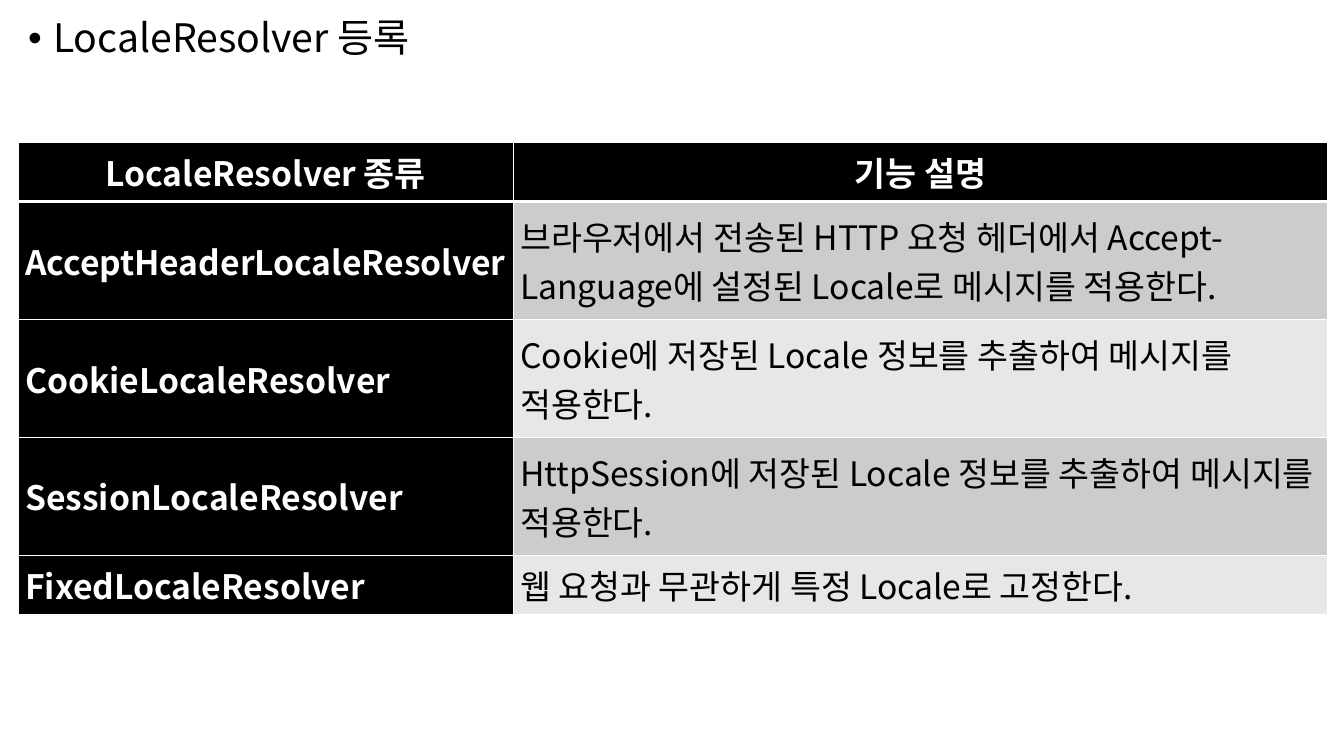
from lxml.etree import SubElement
from pptx import Presentation
from pptx.dml.color import RGBColor
from pptx.enum.text import MSO_ANCHOR, PP_ALIGN
from pptx.oxml.ns import qn
from pptx.util import Inches, Pt

BLACK = RGBColor(0x00, 0x00, 0x00)
WHITE = RGBColor(0xFF, 0xFF, 0xFF)
DARK_BAND = RGBColor(0xCC, 0xCC, 0xCC)
LIGHT_BAND = RGBColor(0xE7, 0xE7, 0xE7)

COLUMN_WIDTHS = (4.91, 8.08)
HEADINGS = ("LocaleResolver 종류", "기능 설명")
RESOLVERS = (
    ("AcceptHeaderLocaleResolver",
     "브라우저에서 전송된 HTTP 요청 헤더에서 Accept-Language에 설정된 Locale로 메시지를 적용한다.", 1.17),
    ("CookieLocaleResolver", "Cookie에 저장된 Locale 정보를 추출하여 메시지를 적용한다.", 1.17),
    ("SessionLocaleResolver", "HttpSession에 저장된 Locale 정보를 추출하여 메시지를 적용한다.", 1.17),
    ("FixedLocaleResolver", "웹 요청과 무관하게 특정 Locale로 고정한다.", 0.59),
)


class SlideBuilder:
    """Draws bulleted text and tables on one slide in a shared style."""

    font_name = "Noto Sans CJK KR"
    cell_format = {
        "margin_left": Inches(0.07), "margin_right": Inches(0.07),
        "margin_top": 0, "margin_bottom": 0,
        "vertical_anchor": MSO_ANCHOR.MIDDLE,
    }

    def __init__(self, slide):
        self.slide = slide

    def apply(self, target, values):
        for name, value in values.items():
            setattr(target, name, value)

    def styled_run(self, paragraph, text, size, color, bold=False):
        run = paragraph.add_run()
        run.text = text
        self.apply(run.font, {"name": self.font_name, "size": Pt(size), "bold": bold})
        run.font.color.rgb = color
        SubElement(run._r.get_or_add_rPr(), qn("a:ea"), typeface=self.font_name)

    def bullet(self, text, left, top, width, height):
        frame = self.slide.shapes.add_textbox(
            Inches(left), Inches(top), Inches(width), Inches(height)).text_frame
        frame.word_wrap = True
        topic = frame.paragraphs[0]
        self.apply(topic, {"line_spacing": 0.9, "space_before": Pt(10)})
        properties = topic._p.get_or_add_pPr()
        properties.set("marL", str(Inches(0.25)))
        properties.set("indent", str(-Inches(0.25)))
        SubElement(properties, qn("a:buFont"), typeface="Arial")
        SubElement(properties, qn("a:buChar"), char="•")
        self.styled_run(topic, text, 28, BLACK)

    def border(self, cell, widths):
        properties = cell._tc.get_or_add_tcPr()
        for position, (side, width) in enumerate(widths.items()):
            line = SubElement(properties, qn(f"a:ln{side}"), w=str(Pt(width)))
            fill = SubElement(line, qn("a:solidFill"))
            SubElement(fill, qn("a:srgbClr"), val=str(WHITE))
            properties.insert(position, line)

    def cell(self, cell, text, fill, color, bold, align, borders):
        self.apply(cell, self.cell_format)
        cell.fill.solid()
        cell.fill.fore_color.rgb = fill
        self.border(cell, borders)
        paragraph = cell.text_frame.paragraphs[0]
        paragraph.alignment = align
        self.styled_run(paragraph, text, 24, color, bold)

    def table(self, left, top, headings, entries, widths):
        heights = [0.59] + [height for _, _, height in entries]
        table = self.slide.shapes.add_table(
            len(heights), len(widths), Inches(left), Inches(top),
            Inches(sum(widths)), Inches(sum(heights))).table
        for column, width in zip(table.columns, widths):
            column.width = Inches(width)
        for row, height in zip(table.rows, heights):
            row.height = Inches(height)
        rows = [headings] + [entry[:2] for entry in entries]
        for row_index, texts in enumerate(rows):
            is_header = row_index == 0
            band = DARK_BAND if row_index % 2 else LIGHT_BAND
            borders = {"L": 1, "R": 1, "T": 3 if row_index == 1 else 1,
                       "B": 3 if is_header else 1}
            align = PP_ALIGN.CENTER if is_header else PP_ALIGN.LEFT
            for column_index, text in enumerate(texts):
                strong = is_header or column_index == 0
                self.cell(table.cell(row_index, column_index), text,
                          BLACK if strong else band, WHITE if strong else BLACK,
                          strong, align, borders)


def main():
    presentation = Presentation()
    presentation.slide_width = Inches(13.33)
    presentation.slide_height = Inches(7.5)
    builder = SlideBuilder(presentation.slides.add_slide(presentation.slide_layouts[6]))
    builder.bullet("LocaleResolver 등록", 0.18, 0.14, 12.99, 7.22)
    builder.table(0.18, 1.41, HEADINGS, RESOLVERS, COLUMN_WIDTHS)
    presentation.save("out.pptx")


if __name__ == "__main__":
    main()
